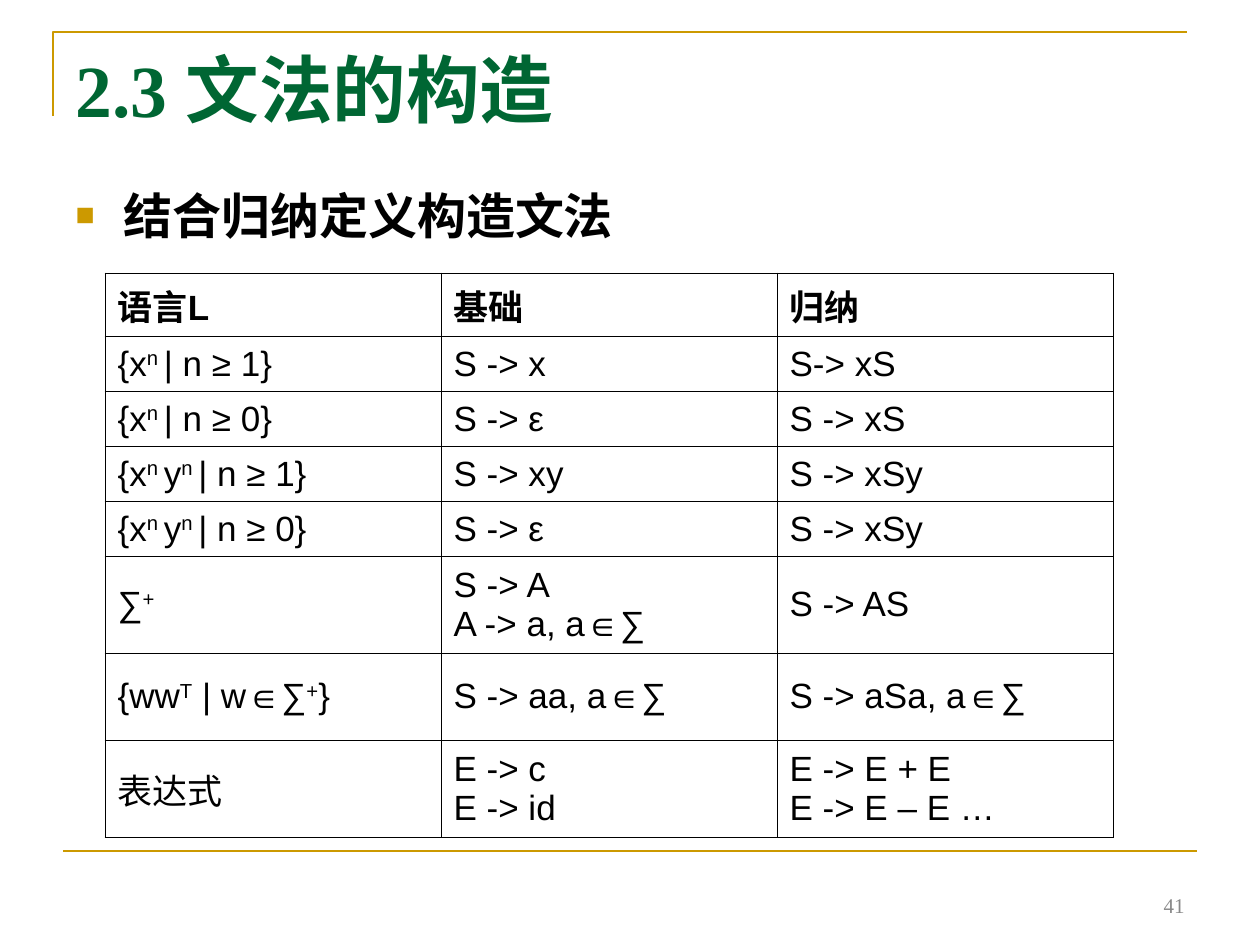
"""Build the slide on grammar construction with its table of inductive definitions."""
from lxml import etree
from pptx import Presentation
from pptx import util as u
from pptx.dml.color import RGBColor
from pptx.enum import shapes, text
from pptx.oxml.ns import qn

SCALE = 914400 / 126
GOLD = RGBColor(0xCC, 0x99, 0x00)
GREEN = RGBColor(0x00, 0x66, 0x33)
BLACK = RGBColor(0x00, 0x00, 0x00)
GRAY = RGBColor(0x89, 0x89, 0x89)

TITLE_FORMAT = {"name": "Times New Roman", "size": u.Pt(42), "bold": True}
BODY_FORMAT = {"name": "Calibri", "size": u.Pt(28), "bold": True}
NUMBER_FORMAT = {"name": "Times New Roman", "size": u.Pt(12), "bold": False}
CELL_FORMAT = {"name": "Arial", "size": u.Pt(20), "bold": False}
HEADER_FORMAT = {**CELL_FORMAT, "bold": True}

COLUMN_WIDTH = 336
ROW_HEIGHTS = [55] * 5 + [97, 87, 97]
SUPERSCRIPT_MARK = "^"
GRAMMARS = [
    ["语言L", "基础", "归纳"],
    ["{x^n ^| n ≥ 1}", "S -> x", "S-> xS"],
    ["{x^n ^| n ≥ 0}", "S -> ε", "S -> xS"],
    ["{x^n ^y^n ^| n ≥ 1}", "S -> xy", "S -> xSy"],
    ["{x^n ^y^n ^| n ≥ 0}", "S -> ε", "S -> xSy"],
    ["∑^+", "S -> A\nA -> a, a∈∑", "S -> AS"],
    ["{ww^T^ | w∈∑^+^}", "S -> aa, a∈∑", "S -> aSa, a∈∑"],
    ["表达式", "E -> c\nE -> id", "E -> E + E\nE -> E – E …"],
]


def px(length):
    """Turn pixels into EMU."""
    return u.Emu(round(length * SCALE))


def add_element(parent, tag, **attributes):
    """Append a DrawingML child element."""
    child = etree.SubElement(parent, qn(tag))
    for name, value in attributes.items():
        child.set(name, str(value))
    return child


def place(shape, left, top, width, height):
    """Move and size a shape."""
    box = {"left": left, "top": top, "width": width, "height": height}
    for name, value in box.items():
        setattr(shape, name, px(value))


def format_font(font, values, color):
    """Apply format values and a colour to a font."""
    for name, value in values.items():
        setattr(font, name, value)
    font.color.rgb = color


def write_text(shape, content, values, color, anchor, alignment):
    """Write one formatted paragraph into a shape."""
    frame = shape.text_frame
    frame.word_wrap = True
    frame.auto_size = text.MSO_AUTO_SIZE.NONE
    frame.vertical_anchor = anchor
    paragraph = frame.paragraphs[0]
    paragraph.alignment = alignment
    paragraph.space_before = u.Pt(0)
    run = paragraph.add_run()
    run.text = content
    format_font(run.font, values, color)


def add_bullet(paragraph):
    """Give a paragraph a gold square bullet with a hanging indent."""
    properties = paragraph._p.get_or_add_pPr()
    properties.set("marL", str(px(48)))
    properties.set("indent", str(px(-48)))
    add_element(add_element(properties, "a:buClr"), "a:srgbClr", val=GOLD)
    add_element(properties, "a:buSzPct", val=65000)
    add_element(properties, "a:buFont", typeface="Arial")
    add_element(properties, "a:buChar", char="■")


def add_frame(slide):
    """Draw the corner rule at the top and the rule at the foot."""
    builder = slide.shapes.build_freeform(53, 116, scale=SCALE)
    builder.add_line_segments([(53, 32), (1187, 32)], close=False)
    corner = builder.convert_to_shape()
    corner.shadow.inherit = False
    corner.fill.background()
    foot = slide.shapes.add_connector(
        shapes.MSO_CONNECTOR.STRAIGHT, px(63), px(851), px(1197), px(851))
    add_element(foot._element.spPr, "a:effectLst")
    for shape in (corner, foot):
        shape.line.color.rgb = GOLD
        shape.line.width = u.Pt(1.5)


def add_borders(cell):
    """Draw thin black lines on all sides of a cell."""
    properties = cell._tc.get_or_add_tcPr()
    for side in ("a:lnL", "a:lnR", "a:lnT", "a:lnB"):
        line = add_element(properties, side, w=u.Pt(0.45))
        add_element(add_element(line, "a:solidFill"), "a:srgbClr", val=BLACK)


def fill_cell(cell, content, values):
    """Write a cell's lines, raising the parts between superscript marks."""
    add_borders(cell)
    cell.fill.background()
    cell.vertical_anchor = text.MSO_ANCHOR.MIDDLE
    for index, line in enumerate(content.split("\n")):
        frame = cell.text_frame
        paragraph = frame.add_paragraph() if index else frame.paragraphs[0]
        for position, part in enumerate(line.split(SUPERSCRIPT_MARK)):
            run = paragraph.add_run()
            run.text = part
            format_font(run.font, values, BLACK)
            if position % 2:
                run._r.get_or_add_rPr().set("baseline", "30000")


def add_grammar_table(slide):
    """Add the table of languages with base and inductive rules."""
    columns = len(GRAMMARS[0])
    table = slide.shapes.add_table(
        len(GRAMMARS), columns, px(105), px(273),
        px(columns * COLUMN_WIDTH), px(sum(ROW_HEIGHTS))).table
    table.first_row = table.horz_banding = False
    for column in table.columns:
        column.width = px(COLUMN_WIDTH)
    for row_index, contents in enumerate(GRAMMARS):
        table.rows[row_index].height = px(ROW_HEIGHTS[row_index])
        values = CELL_FORMAT if row_index else HEADER_FORMAT
        for column_index, content in enumerate(contents):
            fill_cell(table.cell(row_index, column_index), content, values)


def main():
    """Assemble and save the presentation."""
    presentation = Presentation()
    presentation.slide_width = px(1260)
    presentation.slide_height = px(945)
    slide = presentation.slides.add_slide(presentation.slide_layouts[1])
    add_frame(slide)

    top, left = text.MSO_ANCHOR.TOP, text.PP_ALIGN.LEFT
    title, body = slide.placeholders
    place(title, 63, 38, 1134, 158)
    write_text(title, "2.3 文法的构造", TITLE_FORMAT, GREEN, top, left)
    place(body, 63, 179, 1134, 625)
    add_bullet(body.text_frame.paragraphs[0])
    write_text(body, "结合归纳定义构造文法", BODY_FORMAT, BLACK, top, left)

    number = slide.shapes.add_textbox(px(903), px(861), px(294), px(63))
    write_text(number, "41", NUMBER_FORMAT, GRAY,
               text.MSO_ANCHOR.BOTTOM, text.PP_ALIGN.RIGHT)
    add_grammar_table(slide)
    presentation.save("out.pptx")


if __name__ == "__main__":
    main()
